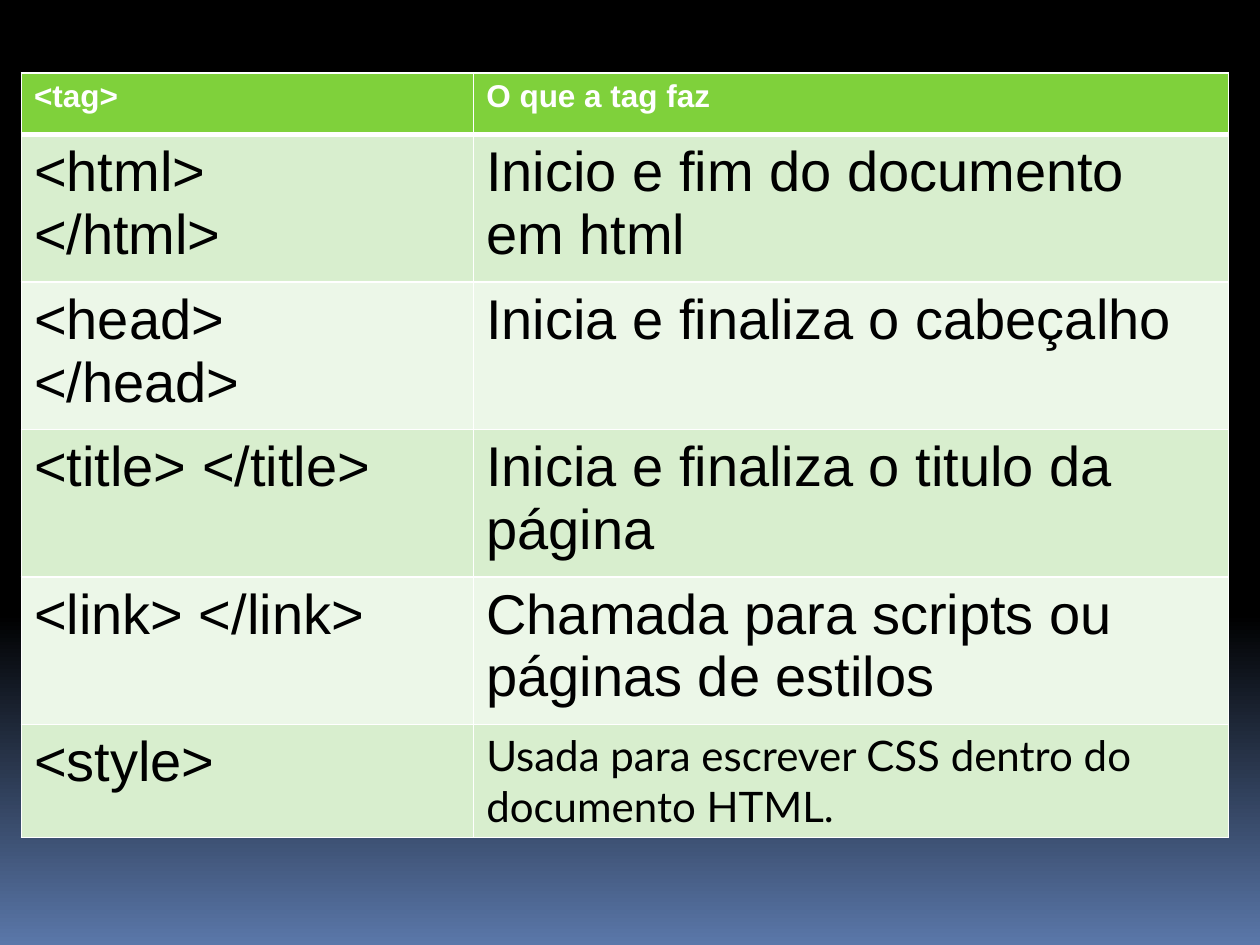
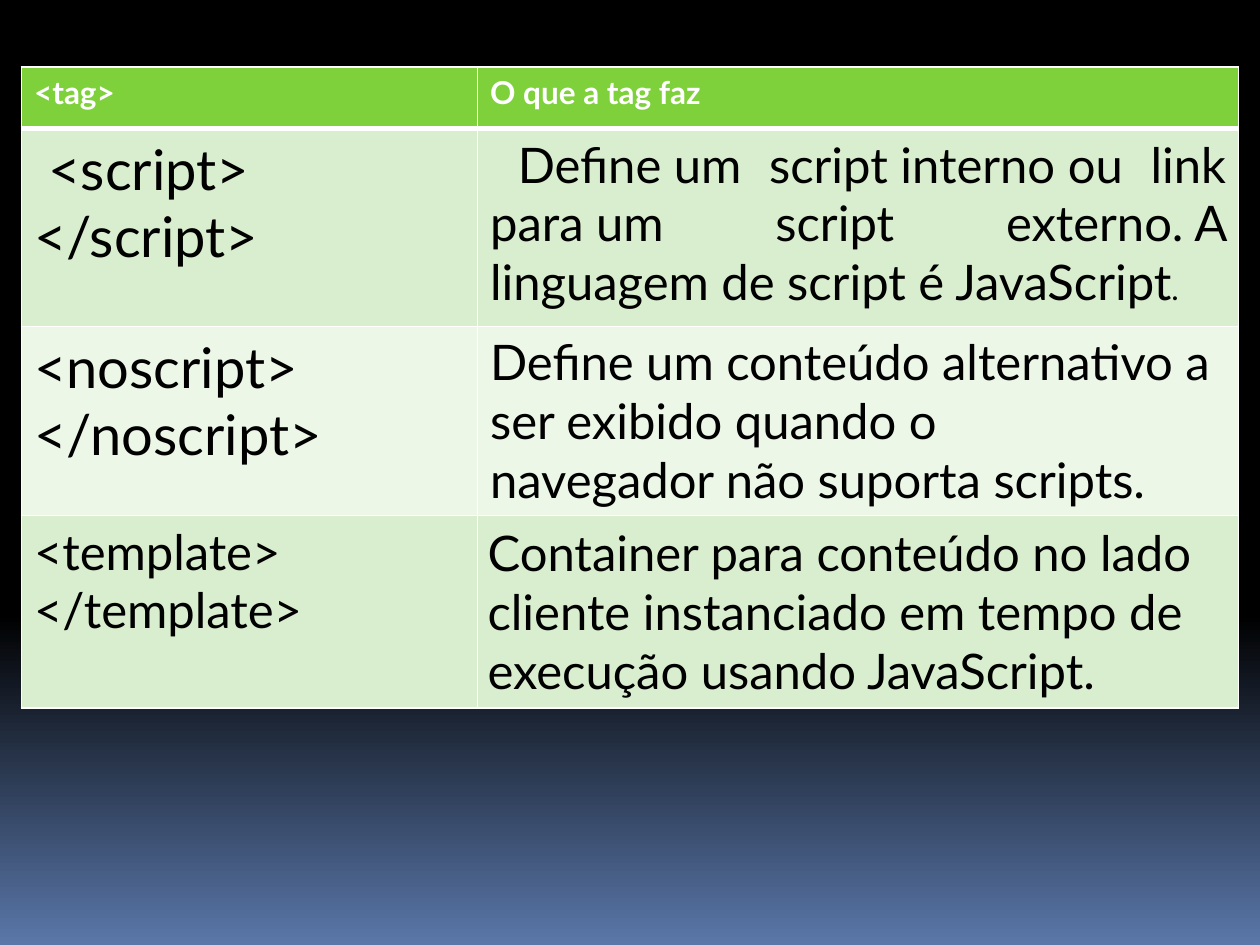
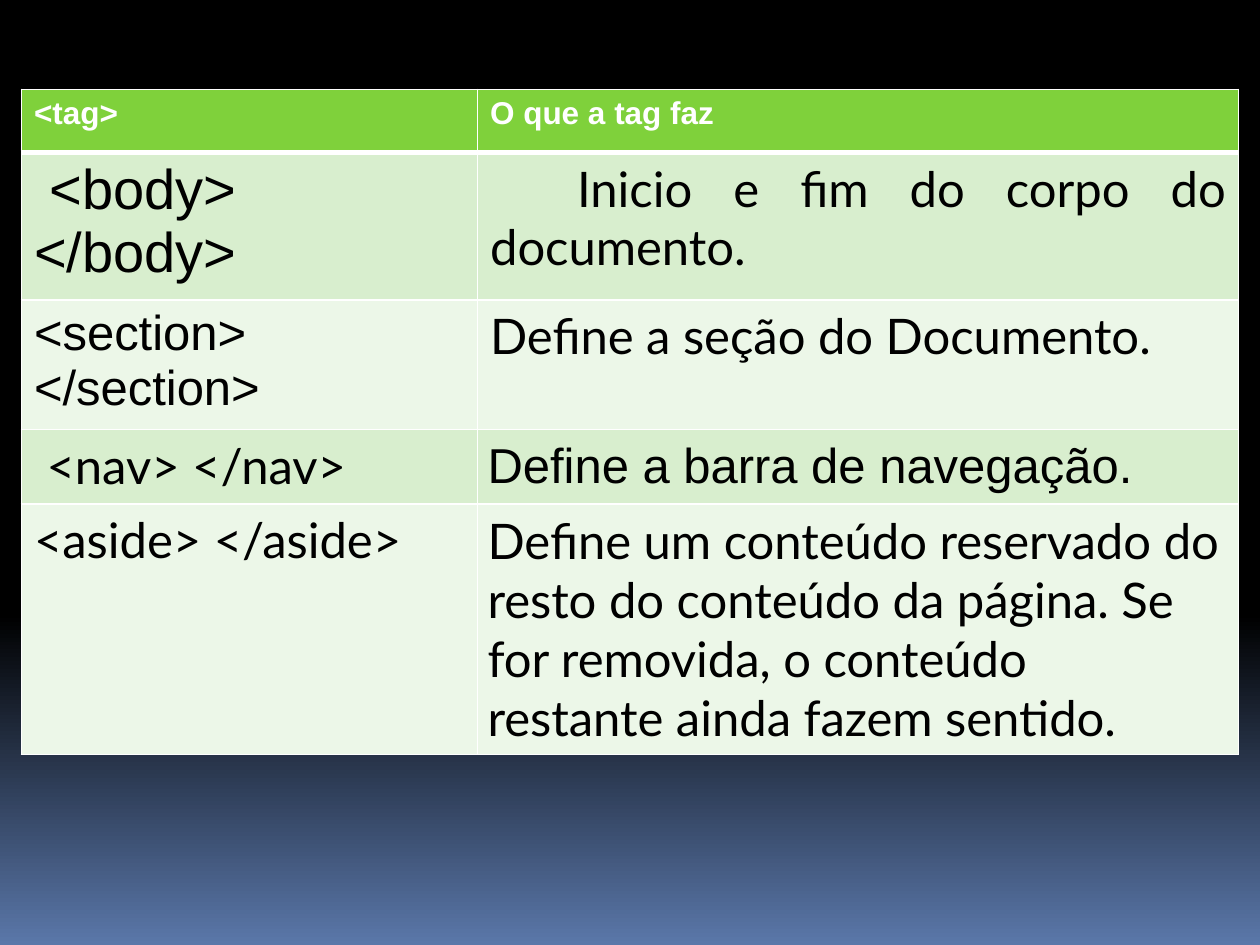
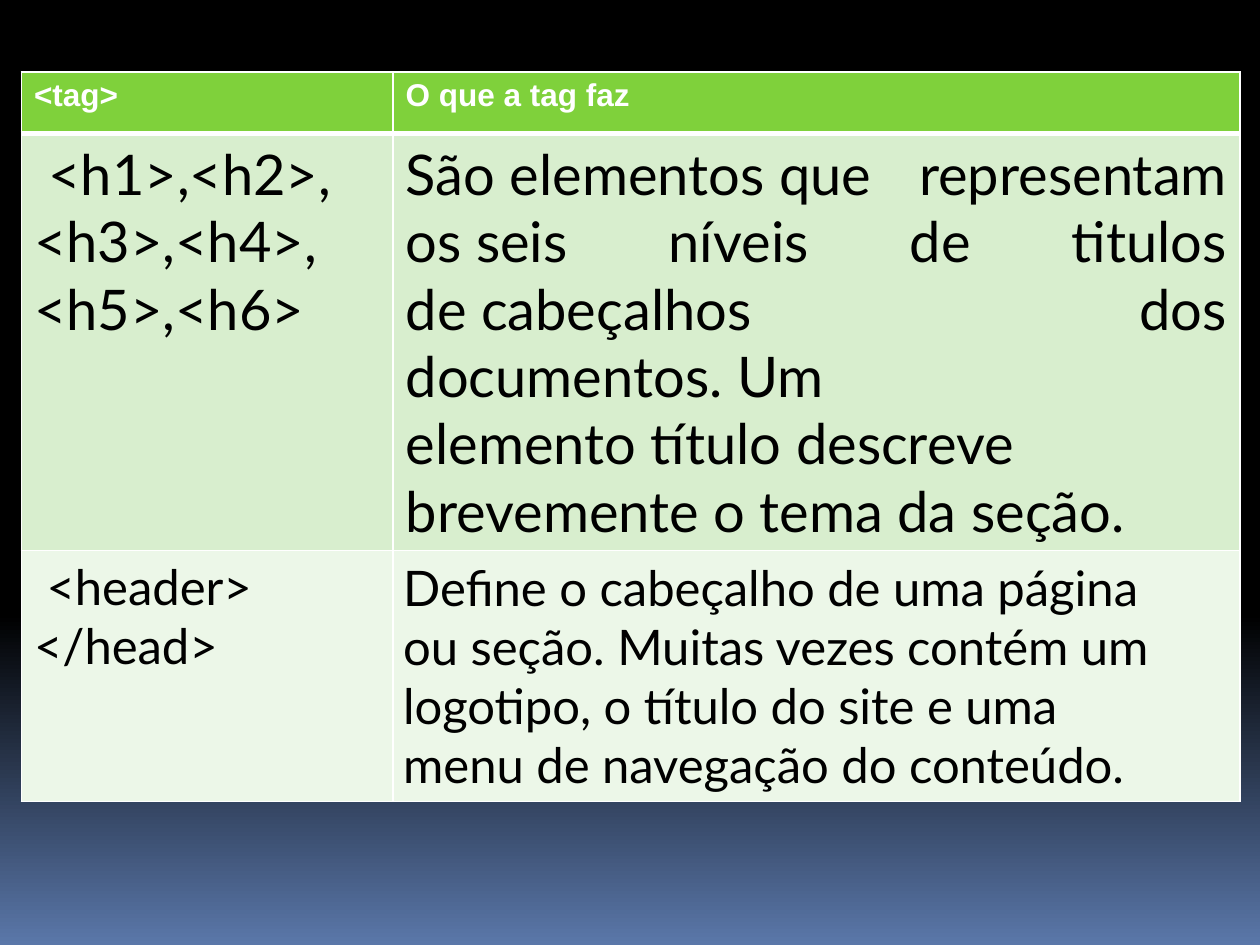
from copy import deepcopy
from dataclasses import dataclass

from lxml.etree import SubElement
from pptx import Presentation
from pptx.dml.color import RGBColor
from pptx.enum.text import MSO_ANCHOR, PP_ALIGN
from pptx.oxml.ns import qn
from pptx.util import Inches, Pt

TOP = MSO_ANCHOR.TOP
MIDDLE = MSO_ANCHOR.MIDDLE
LEFT = PP_ALIGN.LEFT
JUSTIFY = PP_ALIGN.JUSTIFY

ARIAL = "Arial"
LATO = "Lato"
BLACK = "000000"
WHITE = "FFFFFF"
BLUE = "5A77A9"
GREEN = "7FD13B"
BANDS = ("D8EECE", "ECF7E8")
THIN = 1
THICK = 3
TABLE_LEFT = 0.17
HEADINGS = ("<tag>", "O que a tag faz")


@dataclass
class Entry:
    text: str
    size: int = 28
    font: str = LATO
    bold: bool = False
    color: str = BLACK
    align: PP_ALIGN = LEFT
    anchor: MSO_ANCHOR = TOP
    indent: float = 0
    ending: str = ""
    ending_size: int = 18


def rgb(value):
    return RGBColor.from_string(value)


def add_run(paragraph, text, *, size, font, bold, color):
    run = paragraph.add_run()
    run.text = text
    run.font.size = Pt(size)
    run.font.name = font
    run.font.bold = bold
    run.font.color.rgb = rgb(color)


class Deck:
    def __init__(self):
        self.presentation = Presentation()
        self.presentation.slide_width = Inches(10)
        self.presentation.slide_height = Inches(7.5)
        self.slide = None
        self.set_background()

    def set_background(self):
        master = self.presentation.slide_master
        fill = master.background.fill
        fill.gradient()
        fill.gradient_angle = 270
        for stop, color, position in zip(fill.gradient_stops, (BLACK, BLUE), (0.65, 1)):
            stop.color.rgb = rgb(color)
            stop.position = position
        stops = next(master.element.iter(qn("a:gsLst")))
        first = deepcopy(stops[0])
        first.set("pos", "0")
        stops.insert(0, first)

    def add_slide(self):
        self.slide = self.presentation.slides.add_slide(self.presentation.slide_layouts[6])

    def set_borders(self, cell, top, bottom):
        properties = cell._tc.get_or_add_tcPr()
        for side, width in (("L", THIN), ("R", THIN), ("T", top), ("B", bottom)):
            line = SubElement(properties, qn(f"a:ln{side}"), w=str(Pt(width)))
            SubElement(SubElement(line, qn("a:solidFill")), qn("a:srgbClr"), val=WHITE)

    def fill_cell(self, cell, entry, color):
        horizontal, vertical = (0.08, 0.06) if entry.anchor == MIDDLE else (0.1, 0.05)
        cell.margin_left = cell.margin_right = Inches(horizontal)
        cell.margin_top = cell.margin_bottom = Inches(vertical)
        cell.vertical_anchor = entry.anchor
        cell.fill.solid()
        cell.fill.fore_color.rgb = rgb(color)
        style = dict(font=entry.font, bold=entry.bold, color=entry.color)
        frame = cell.text_frame
        for index, text in enumerate(entry.text.split("\n")):
            paragraph = frame.add_paragraph() if index else frame.paragraphs[0]
            paragraph.alignment = entry.align
            if entry.indent:
                paragraph._p.get_or_add_pPr().set("indent", str(Inches(entry.indent)))
            add_run(paragraph, text, size=entry.size, **style)
        if entry.ending:
            add_run(paragraph, entry.ending, size=entry.ending_size, **style)

    def add_tag_table(self, top, widths, heights, entries, heading_font=ARIAL):
        headings = [Entry(text, 18, heading_font, True, WHITE) for text in HEADINGS]
        rows = [headings, *entries]
        table = self.slide.shapes.add_table(
            len(rows), len(widths), Inches(TABLE_LEFT), Inches(top),
            Inches(sum(widths)), Inches(sum(heights))).table
        table.horz_banding = False
        for column, width in zip(table.columns, widths):
            column.width = Inches(width)
        for index, (height, row) in enumerate(zip(heights, rows)):
            table.rows[index].height = Inches(height)
            color = BANDS[(index - 1) % 2] if index else GREEN
            for column, entry in enumerate(row):
                cell = table.cell(index, column)
                self.set_borders(cell, THICK if index == 1 else THIN,
                                 THICK if index == 0 else THIN)
                self.fill_cell(cell, entry, color)


def main():
    deck = Deck()

    deck.add_slide()
    deck.add_tag_table(0.58, (3.59, 5.99), (0.49, *[1.17] * 4, 0.9), [
        (Entry("<html>\n</html>", 32, ARIAL),
         Entry("Inicio e fim do documento em html", 32, ARIAL)),
        (Entry("<head>\n</head>", 32, ARIAL),
         Entry("Inicia e finaliza o cabeçalho", 32, ARIAL)),
        (Entry("<title> </title>", 32, ARIAL),
         Entry("Inicia e finaliza o titulo da página", 32, ARIAL)),
        (Entry("<link> </link>", 32, ARIAL),
         Entry("Chamada para scripts ou páginas de estilos", 32, ARIAL)),
        (Entry("<style>", 32, ARIAL),
         Entry("Usada para\xa0escrever\xa0CSS\xa0dentro do documento HTML.", 24)),
    ])

    deck.add_slide()
    deck.add_tag_table(0.53, (3.62, 6.04), (0.49, 1.57, 1.5, 1.53), [
        (Entry(" <script>\n</script>", 32),
         Entry(" Define\xa0um script\xa0interno\xa0ou link para\xa0um script externo.\xa0A "
               "linguagem de script\xa0é\xa0JavaScript", align=JUSTIFY, ending=".")),
        (Entry("<noscript>\n</noscript>", 32),
         Entry("Define um\xa0conteúdo alternativo\xa0a ser exibido quando\xa0o "
               "navegador\xa0não suporta\xa0scripts.")),
        (Entry("<template>\n</template>"),
         Entry("Container para conteúdo no lado cliente instanciado em tempo de "
               "execução usando JavaScript.", anchor=MIDDLE)),
    ], heading_font=LATO)

    deck.add_slide()
    deck.add_tag_table(0.71, (3.62, 6.04), (0.5, 1.17, 1.03, 0.59, 1.99), [
        (Entry(" <body>\n</body>", 32, ARIAL),
         Entry("Inicio e fim do corpo do documento.", align=JUSTIFY, indent=0.69)),
        (Entry("<section>\n</section>", font=ARIAL),
         Entry("Define a seção do Documento.")),
        (Entry(" <nav> </nav>"),
         Entry("Define a barra de navegação.", font=ARIAL, anchor=MIDDLE)),
        (Entry("<aside> </aside>"),
         Entry("Define\xa0um\xa0conteúdo\xa0reservado\xa0do resto do\xa0conteúdo da "
               "página.\xa0Se for\xa0removida, o\xa0conteúdo restante\xa0ainda fazem "
               "sentido.", anchor=MIDDLE)),
    ])

    deck.add_slide()
    deck.add_tag_table(0.57, (2.95, 6.72), (0.49, 3.3, 1.99), [
        (Entry(" <h1>,<h2>, <h3>,<h4>, <h5>,<h6>", 32),
         Entry("São\xa0elementos\xa0que representam os\xa0seis níveis de titulos "
               "de\xa0cabeçalhos dos documentos.\xa0Um elemento\xa0título\xa0descreve "
               "brevemente\xa0o tema da\xa0seção.", 32, align=JUSTIFY)),
        (Entry(" <header>\n</head>"),
         Entry("Define o\xa0cabeçalho\xa0de uma página ou\xa0seção.\xa0Muitas vezes "
               "contém\xa0um logotipo,\xa0o título do\xa0site\xa0e uma menu\xa0de "
               "navegação do conteúdo.", anchor=MIDDLE)),
    ])

    deck.presentation.save("out.pptx")


main()
